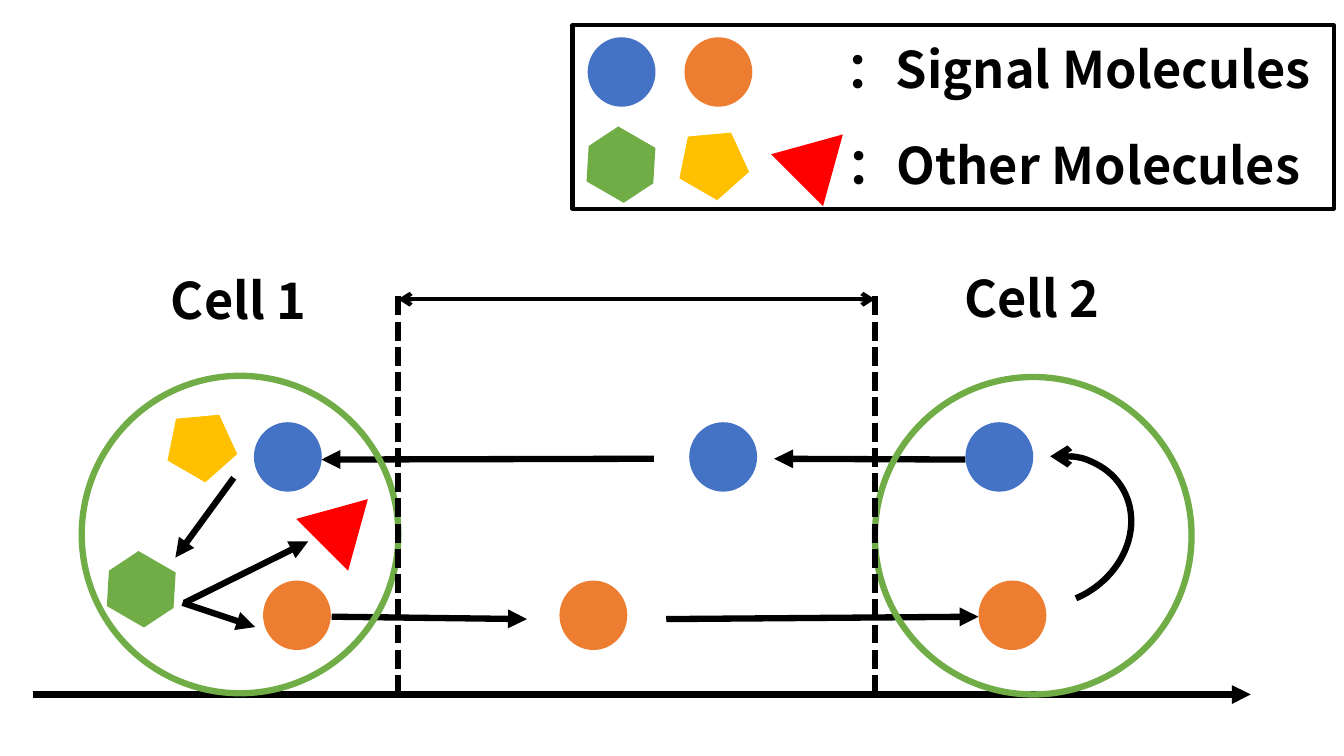
from lxml.etree import SubElement
from pptx import Presentation
from pptx.dml.color import RGBColor
from pptx.enum.dml import MSO_LINE
from pptx.enum.shapes import MSO_CONNECTOR, MSO_SHAPE
from pptx.enum.text import MSO_AUTO_SIZE
from pptx.oxml.ns import qn
from pptx.util import Cm, Pt

BLACK = RGBColor(0x00, 0x00, 0x00)
BLUE = RGBColor(0x44, 0x72, 0xC4)
ORANGE = RGBColor(0xED, 0x7D, 0x31)
GREEN = RGBColor(0x70, 0xAD, 0x47)
YELLOW = RGBColor(0xFF, 0xC0, 0x00)
RED = RGBColor(0xFF, 0x00, 0x00)
FONT = "Noto Sans CJK JP"

# Molecule kinds: preset, width, height, rotation, colour
SIGNAL_BLUE = (MSO_SHAPE.OVAL, 1.71, 1.75, 0, BLUE)
SIGNAL_ORANGE = (MSO_SHAPE.OVAL, 1.71, 1.75, 0, ORANGE)
PENTAGON = (MSO_SHAPE.REGULAR_PENTAGON, 1.78, 1.65, 30, YELLOW)
HEXAGON = (MSO_SHAPE.HEXAGON, 1.88, 1.60, 30, GREEN)
TRIANGLE = (MSO_SHAPE.ISOSCELES_TRIANGLE, 1.85, 1.63, 45, RED)

BLUE_ROW = 10.64
ORANGE_ROW = 14.63
CELL_1_EDGE = 10.03
CELL_2_EDGE = 22.05


def add_arrowheads(line, head=None, tail=None):
    outline = line._get_or_add_ln()
    for tag, kind in (("a:headEnd", head), ("a:tailEnd", tail)):
        if kind:
            SubElement(outline, qn(tag), type=kind)


def add_molecule(page, kind, left, top):
    preset, width, height, rotation, color = kind
    shape = page.shapes.add_shape(preset, Cm(left), Cm(top), Cm(width), Cm(height))
    shape.shadow.inherit = False
    shape.rotation = rotation
    shape.fill.solid()
    shape.fill.fore_color.rgb = color
    shape.line.fill.background()


def add_outline(page, preset, left, top, width, height, color, weight=4.5):
    shape = page.shapes.add_shape(preset, Cm(left), Cm(top), Cm(width), Cm(height))
    shape.shadow.inherit = False
    shape.fill.background()
    shape.line.color.rgb = color
    shape.line.width = Pt(weight)
    return shape


def add_line(page, start, end, weight=4.5, dash=None, head=None, tail=None):
    line = page.shapes.add_connector(
        MSO_CONNECTOR.STRAIGHT, *(Cm(value) for value in start + end))
    line.line.color.rgb = BLACK
    line.line.width = Pt(weight)
    if dash:
        line.line.dash_style = dash
    add_arrowheads(line.line, head, tail)
    SubElement(line._element.spPr, qn("a:effectLst"))


def add_text(page, text, left, top, width, height=1.8, size=36, bold=True, color=BLACK):
    box = page.shapes.add_textbox(Cm(left), Cm(top), Cm(width), Cm(height))
    box.text_frame.word_wrap = True
    box.text_frame.auto_size = MSO_AUTO_SIZE.SHAPE_TO_FIT_TEXT
    span = box.text_frame.paragraphs[0].add_run()
    span.text = text
    span.font.size = Pt(size)
    span.font.bold = bold
    span.font.color.rgb = color
    span.font.name = FONT
    SubElement(span.font._element, qn("a:ea"), typeface=FONT)


def add_cell(page, name, left, top, label_left, label_top, label_width, edge):
    add_outline(page, MSO_SHAPE.OVAL, left, top, 7.98, 8, GREEN)
    add_text(page, name, label_left, label_top, label_width)
    add_line(page, (edge, 7.47), (edge, 17.5), dash=MSO_LINE.SQUARE_DOT)


def add_exchange(page):
    # Position axis and distance between the cells
    add_line(page, (0.84, 17.5), (31.52, 17.5), tail="triangle")
    add_line(page, (CELL_1_EDGE, 7.54), (CELL_2_EDGE, 7.54), weight=3,
             head="arrow", tail="arrow")

    # Signals travelling between the cells
    for start, end in (
        ((8.36, 15.54), (13.28, 15.6)),
        ((16.79, 15.6), (24.66, 15.54)),
        ((16.48, 11.56), (8.1, 11.58)),
        ((24.33, 11.58), (19.51, 11.56)),
    ):
        add_line(page, start, end, tail="triangle")
    add_molecule(page, SIGNAL_ORANGE, 14.1, ORANGE_ROW)
    add_molecule(page, SIGNAL_BLUE, 17.37, BLUE_ROW)


def add_cell_2(page):
    add_cell(page, "Cell 2", 22.05, 9.5, 24.05, 6.6, 4.75, CELL_2_EDGE)
    add_molecule(page, SIGNAL_ORANGE, 24.66, ORANGE_ROW)
    add_molecule(page, SIGNAL_BLUE, 24.33, BLUE_ROW)
    arc = add_outline(page, MSO_SHAPE.ARC, 24.36, 11.56, 4.22, 3.63, BLACK)
    arc.rotation = 330
    arc.adjustments[0] = 179.96
    arc.adjustments[1] = 59.53
    add_arrowheads(arc.line, head="arrow")


def add_cell_1(page):
    add_cell(page, "Cell 1", 2.06, 9.47, 4.06, 6.65, 4.5, CELL_1_EDGE)
    add_molecule(page, SIGNAL_ORANGE, 6.63, ORANGE_ROW)
    add_molecule(page, SIGNAL_BLUE, 6.4, BLUE_ROW)
    add_molecule(page, PENTAGON, 4.22, 10.34)
    add_molecule(page, HEXAGON, 2.62, 14.05)

    # Reactions inside the cell
    for start, end in (
        ((5.89, 12.04), (4.42, 14.05)),
        ((4.6, 15.19), (6.43, 15.8)),
        ((4.65, 15.19), (7.77, 13.64)),
    ):
        add_line(page, start, end, tail="triangle")
    add_molecule(page, TRIANGLE, 7.77, 12.34)


def add_legend(page):
    add_molecule(page, SIGNAL_BLUE, 14.81, 0.94)
    add_molecule(page, SIGNAL_ORANGE, 17.25, 0.94)
    add_text(page, "：Signal Molecules", 21.06, 0.84, 12.9)
    add_molecule(page, PENTAGON, 17.12, 3.23)
    add_molecule(page, TRIANGLE, 19.74, 3.15)
    add_molecule(page, HEXAGON, 14.71, 3.35)
    add_text(page, "：Other Molecules", 21.08, 3.25, 12.9)
    add_outline(page, MSO_SHAPE.RECTANGLE, 14.43, 0.64, 19.18, 4.62, BLACK, weight=3)


def main():
    deck = Presentation()
    deck.slide_width = Cm(33.87)
    deck.slide_height = Cm(19.05)
    page = deck.slides.add_slide(deck.slide_layouts[6])
    add_exchange(page)
    add_cell_2(page)
    add_cell_1(page)
    add_legend(page)
    deck.save("out.pptx")


if __name__ == "__main__":
    main()
